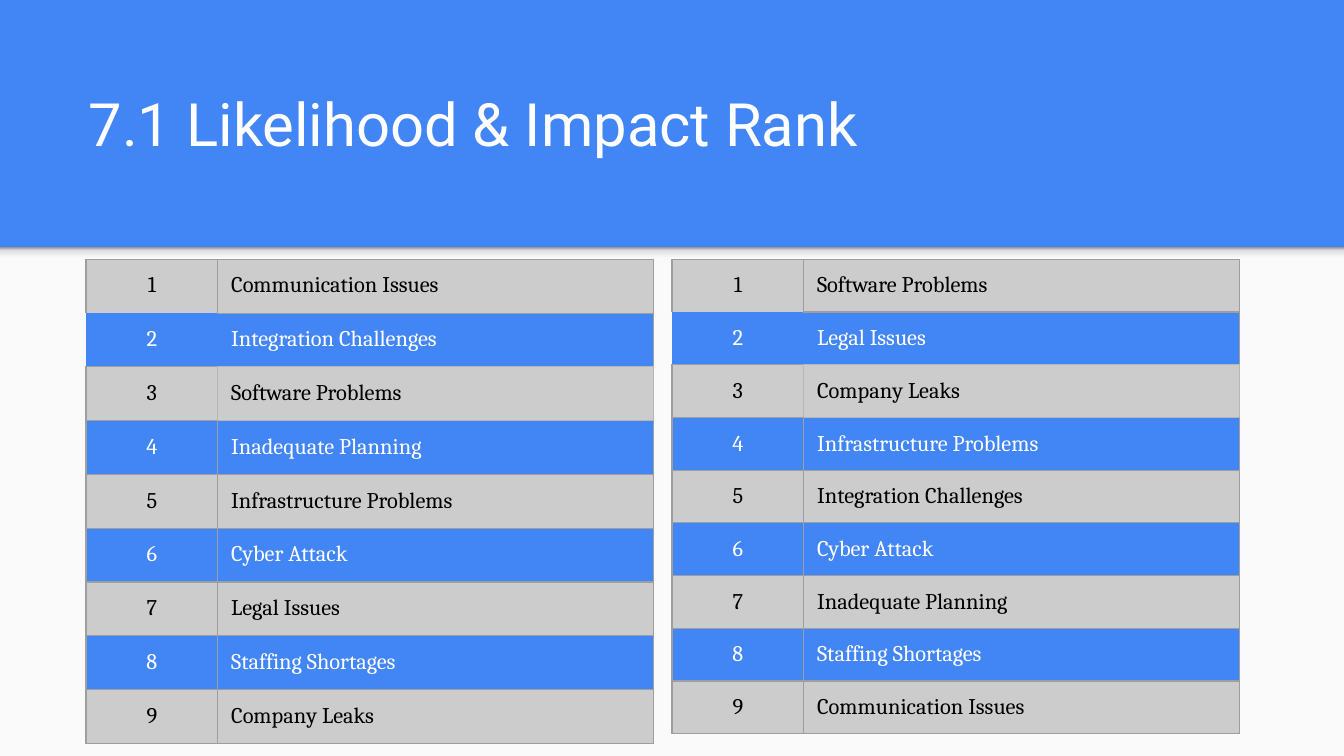
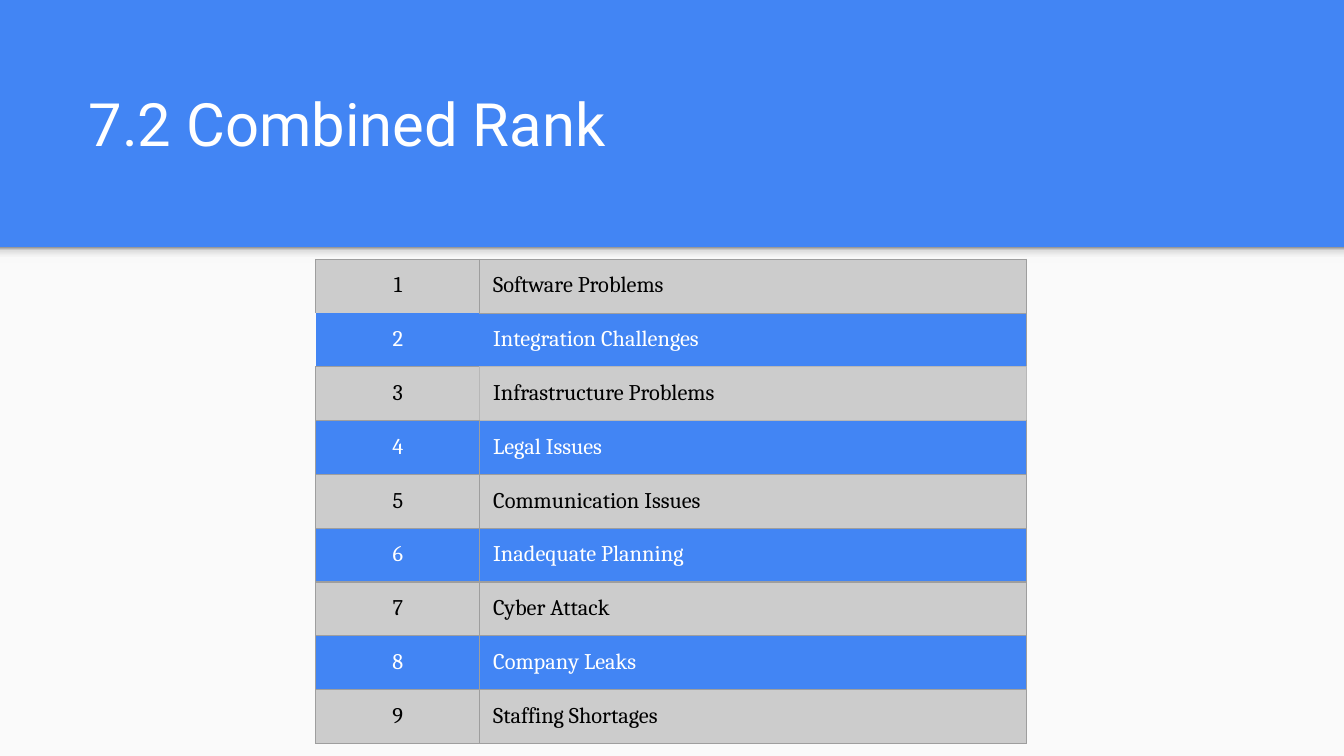
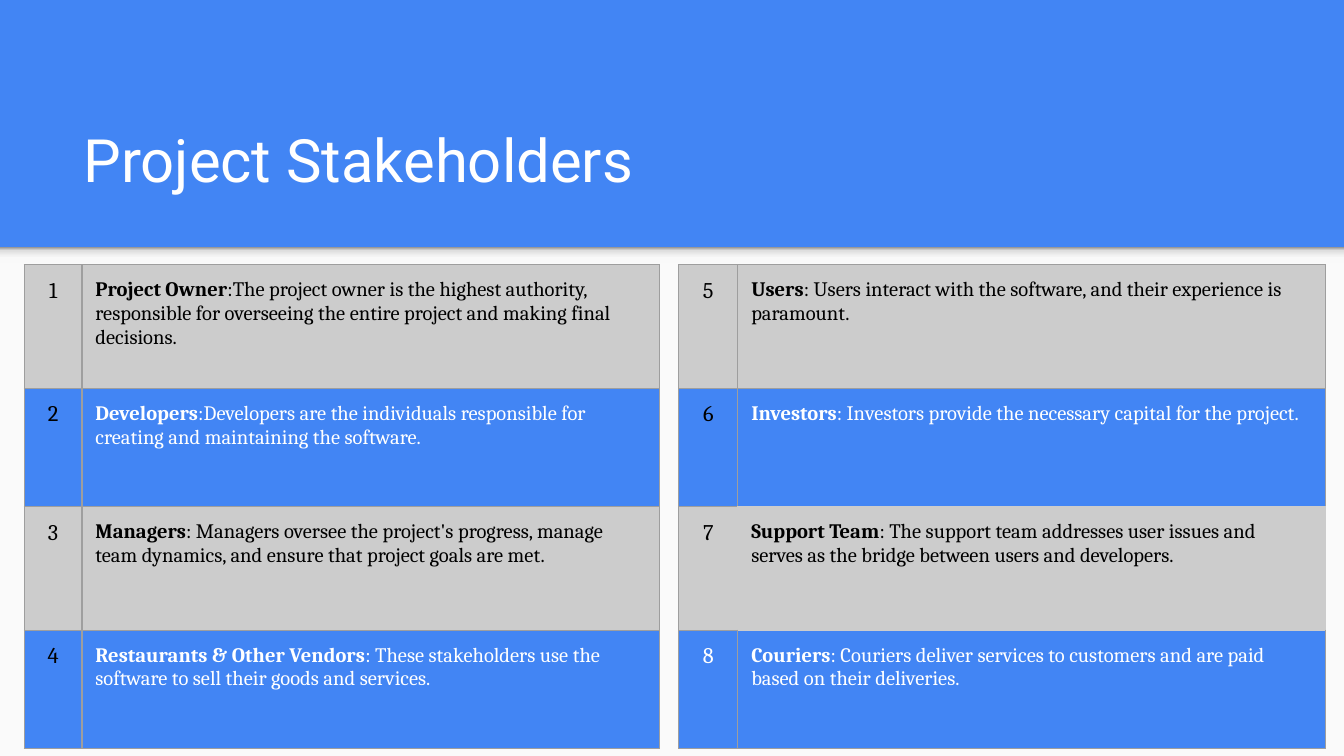
from lxml import etree
from pptx import Presentation
from pptx import util as u
from pptx.dml.color import RGBColor
from pptx.enum import shapes, text
from pptx.oxml.ns import qn

# Content: titles and numbered tables
LIKELIHOOD = ["Communication Issues", "Integration Challenges", "Software Problems",
              "Inadequate Planning", "Infrastructure Problems", "Cyber Attack",
              "Legal Issues", "Staffing Shortages", "Company Leaks"]
IMPACT = ["Software Problems", "Legal Issues", "Company Leaks",
          "Infrastructure Problems", "Integration Challenges", "Cyber Attack",
          "Inadequate Planning", "Staffing Shortages", "Communication Issues"]
COMBINED = ["Software Problems", "Integration Challenges", "Infrastructure Problems",
            "Legal Issues", "Communication Issues", "Inadequate Planning",
            "Cyber Attack", "Company Leaks", "Staffing Shortages"]
INTERNAL = [
    ("Project Owner", ":The project owner is the highest authority, responsible for "
                      "overseeing the entire project and making final decisions."),
    ("Developers", ":Developers are the individuals responsible for creating and "
                   "maintaining the software."),
    ("Managers", ": Managers oversee the project's progress, manage team dynamics, "
                 "and ensure that project goals are met."),
    ("Restaurants & Other Vendors", ": These stakeholders use the software to sell "
                                    "their goods and services."),
]
EXTERNAL = [
    ("Users", ": Users interact with the software, and their experience is paramount."),
    ("Investors", ": Investors provide the necessary capital for the project."),
    ("Support Team", ": The support team addresses user issues and serves as the "
                     "bridge between users and developers."),
    ("Couriers", ": Couriers deliver services to customers and are paid based on "
                 "their deliveries."),
]

# Shared style
BLUE = RGBColor(0x42, 0x85, 0xF4)
WHITE = RGBColor(0xFF, 0xFF, 0xFF)
BLACK = RGBColor(0x00, 0x00, 0x00)
PAPER = RGBColor(0xFA, 0xFA, 0xFA)
SILVER = RGBColor(0xCC, 0xCC, 0xCC)
LINE = RGBColor(0x9E, 0x9E, 0x9E)
PALE_LINE = RGBColor(0xB7, 0xB7, 0xB7)
SHADE_STOPS = [(0, "F9F9F9"), (36, "F9F9F9"), (80, "DEDEDE"), (100, "999999")]

WIDTH = 10
HEIGHT = WIDTH * 9 / 16
HEADER_HEIGHT, SHADE_HEIGHT = 1.84, 0.12
TITLE_FONT, TABLE_FONT = "Roboto", "Cambria"
TITLE_SIZE, NUMBER_SIZE, BRIEF_SIZE = 32, 12, 11
INSET = u.Inches(0.1)

# Neighbour across each side of a cell, and the side it shares
FACING = {"L": (0, -1, "R"), "R": (0, 1, "L"), "T": (-1, 0, "B"), "B": (1, 0, "T")}
RANK_EDGES = [((1, 0), "LTR", None), ((2, 1), "LRTB", PALE_LINE)]
SUPPORT_EDGES = [((2, 1), "LRTB", SILVER)]

RANK_TITLE, STAKEHOLDER_TITLE = (0.56, 0.54), (0.52, 0.81)
RANK_TOP, STAKEHOLDER_TOP = 1.93, 1.97
RANK_WHITE, STAKEHOLDER_WHITE = {2, 4, 6, 8}, {8}

SLIDES = [
    ("7.1 Likelihood & Impact Rank", RANK_TITLE, [
        dict(rows=LIKELIHOOD, at=(0.64, RANK_TOP), widths=(0.98, 3.24), heights=[0.4],
             white_numbers=RANK_WHITE, edges=RANK_EDGES),
        dict(rows=IMPACT, at=(5, RANK_TOP), widths=(0.98, 3.24), heights=[0.36],
             white_numbers=RANK_WHITE, edges=RANK_EDGES)]),
    ("7.2 Combined Rank", RANK_TITLE, [
        dict(rows=COMBINED, at=(2.35, RANK_TOP), widths=(1.22, 4.07), heights=[0.4],
             white_numbers=RANK_WHITE, edges=RANK_EDGES)]),
    ("Project Stakeholders", STAKEHOLDER_TITLE, [
        dict(rows=INTERNAL, at=(0.18, STAKEHOLDER_TOP), widths=(0.43, 4.3),
             heights=[0.92, 0.88], white_numbers=STAKEHOLDER_WHITE, edges=[]),
        dict(rows=EXTERNAL, at=(5.05, STAKEHOLDER_TOP), widths=(0.44, 4.37),
             heights=[0.92, 0.88], first=5, white_numbers=STAKEHOLDER_WHITE,
             edges=SUPPORT_EDGES)]),
]


def add_span(para, words, font, size, colour, bold=False):
    span = para.add_run()
    span.text = words
    span.font.name, span.font.size = font, u.Pt(size)
    span.font.bold, span.font.color.rgb = bold, colour


def set_insets(frame):
    frame.margin_left = frame.margin_right = INSET
    frame.margin_top = frame.margin_bottom = INSET


def dress_layout(layout, page):
    """Give the layout its blue header, pale body and shaded edge."""
    layout.background.fill.solid()
    layout.background.fill.fore_color.rgb = BLUE
    boxes = []
    for height in (HEIGHT - HEADER_HEIGHT, SHADE_HEIGHT):
        box = page.shapes.add_shape(shapes.MSO_SHAPE.RECTANGLE, 0, u.Inches(HEADER_HEIGHT),
                                    u.Inches(WIDTH), u.Inches(height))
        box.shadow.inherit = False
        box.line.fill.background()
        boxes.append(box)
    body, shade = boxes
    body.fill.solid()
    body.fill.fore_color.rgb = PAPER
    shade.fill.gradient()
    shade.fill.gradient_angle = 90
    stops = shade.element.find(".//" + qn("a:gsLst"))
    for stop in list(stops):
        stops.remove(stop)
    for percent, colour in SHADE_STOPS:
        stop = etree.SubElement(stops, qn("a:gs"), pos=str(percent * 1000))
        etree.SubElement(stop, qn("a:srgbClr"), val=colour)
    # The bands move behind the layout's placeholders
    for order, box in enumerate(boxes):
        box.element.find(".//" + qn("p:cNvPr")).set("id", str(100 + order))
        layout.shapes.element.insert(2 + order, box.element)


def write_title(page, words, at):
    title = page.shapes.title
    title.left, title.top = map(u.Inches, at)
    title.width, title.height = u.Inches(8.99), u.Inches(0.74)
    frame = title.text_frame
    set_insets(frame)
    frame.word_wrap = True
    frame.auto_size = text.MSO_AUTO_SIZE.NONE
    frame.vertical_anchor = text.MSO_ANCHOR.BOTTOM
    para = frame.paragraphs[0]
    para.alignment = text.PP_ALIGN.LEFT
    add_span(para, words, TITLE_FONT, TITLE_SIZE, WHITE)


def plan_edges(row_count, special):
    """Map (row, column, side) to a line colour; shared sides always agree."""
    edges = {(row, column, side): LINE
             for row in range(row_count) for column in range(2) for side in FACING}
    for (row, column), sides, colour in special:
        for side in sides:
            down, across, opposite = FACING[side]
            edges[row, column, side] = colour
            edges[row + down, column + across, opposite] = colour
    return edges


def draw_edge(cell, side, colour):
    line = etree.SubElement(cell._tc.get_or_add_tcPr(), qn("a:ln" + side),
                            w=str(u.Pt(0.75)))
    if colour is None:
        etree.SubElement(line, qn("a:noFill"))
    else:
        fill = etree.SubElement(line, qn("a:solidFill"))
        etree.SubElement(fill, qn("a:srgbClr"), val=str(colour))


def add_numbered_table(page, rows, at, widths, heights, white_numbers, edges, first=1):
    row_heights = [heights[row % len(heights)] for row in range(len(rows))]
    table = page.shapes.add_table(len(rows), 2, *map(u.Inches, at), u.Inches(sum(widths)),
                                  u.Inches(sum(row_heights))).table
    table.first_row = table.horz_banding = False
    for column, width in zip(table.columns, widths):
        column.width = u.Inches(width)
    edge_colours = plan_edges(len(rows), edges)

    for row, entry in enumerate(rows):
        table.rows[row].height = u.Inches(row_heights[row])
        fill, ink = (BLUE, WHITE) if row % 2 else (SILVER, BLACK)
        for column in range(2):
            cell = table.cell(row, column)
            set_insets(cell)
            for side in FACING:
                draw_edge(cell, side, edge_colours[row, column, side])
            cell.fill.solid()
            cell.fill.fore_color.rgb = fill
        number, label = (table.cell(row, column).text_frame.paragraphs[0]
                         for column in range(2))
        number.alignment = text.PP_ALIGN.CENTER
        add_span(number, str(first + row), TABLE_FONT, NUMBER_SIZE,
                 WHITE if first + row in white_numbers else BLACK)
        if isinstance(entry, str):
            add_span(label, entry, TABLE_FONT, NUMBER_SIZE, ink)
        else:
            name, role = entry
            add_span(label, name, TABLE_FONT, BRIEF_SIZE, ink, bold=True)
            add_span(label, role, TABLE_FONT, BRIEF_SIZE, ink)


def main():
    deck = Presentation()
    deck.slide_width, deck.slide_height = u.Inches(WIDTH), u.Inches(HEIGHT)
    layout = deck.slide_layouts.get_by_name("Title Only")
    pages = [deck.slides.add_slide(layout) for _ in SLIDES]
    dress_layout(layout, pages[0])
    for page, (title, title_at, tables) in zip(pages, SLIDES):
        write_title(page, title, title_at)
        for table in tables:
            add_numbered_table(page, **table)
    deck.save("out.pptx")


if __name__ == "__main__":
    main()
